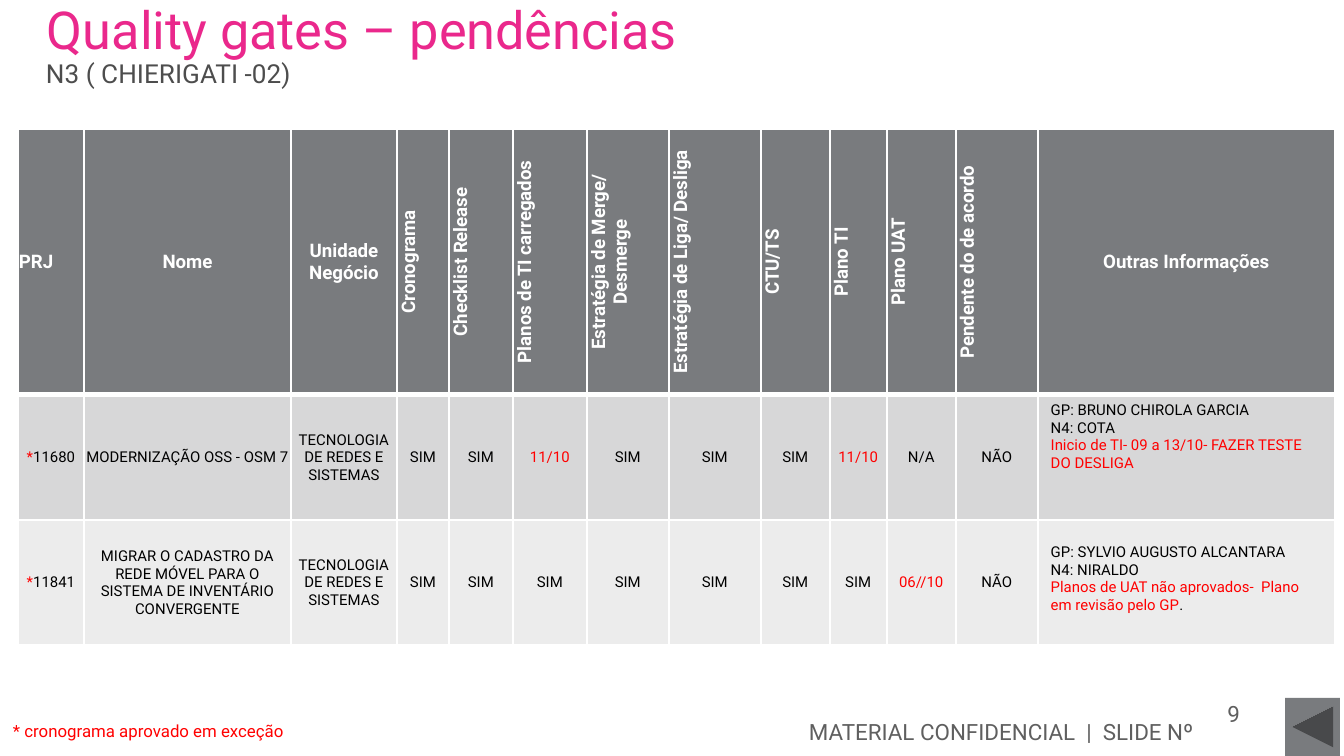
from lxml.etree import SubElement
from pptx import Presentation
from pptx.dml.color import RGBColor
from pptx.enum.shapes import MSO_SHAPE
from pptx.enum.text import MSO_ANCHOR, PP_ALIGN
from pptx.oxml.ns import qn
from pptx.util import Emu, Pt

SCALE = 914400 / 134.4
FONT = "Roboto"
PINK = RGBColor(0xEA, 0x28, 0x8C)
RED = RGBColor(0xFF, 0x00, 0x00)
BLACK = RGBColor(0x00, 0x00, 0x00)
WHITE = RGBColor(0xFF, 0xFF, 0xFF)
DARK_GREY = RGBColor(0x4D, 0x4D, 0x4D)
FOOTER_GREY = RGBColor(0x5F, 0x5F, 0x5F)
HEADER_GREY = RGBColor(0x79, 0x7B, 0x7E)
ROW_FILLS = [RGBColor(0xD7, 0xD7, 0xD8), RGBColor(0xEC, 0xEC, 0xEC)]

COLUMN_WIDTHS = [66, 207, 106, 52, 64, 74, 82, 92, 69, 57, 69, 82, 297]
ROW_HEIGHTS = [144, 125, 125]
HEADERS = [
    "PRJ", "Nome", "Unidade Negócio", "Cronograma", "Checklist Release",
    "Planos de TI carregados", "Estratégia de Merge/ Desmerge",
    "Estratégia de Liga/ Desliga", "CTU/TS", "Plano TI", "Plano UAT",
    "Pendente do de acordo", "Outras Informações",
]
VERTICAL_COLUMNS = range(3, 12)
UNIT = "TECNOLOGIA DE REDES E SISTEMAS"
# Each project: number, name, gate answers, notes (paragraphs of runs), top margin of notes
PROJECTS = [
    ("11680", "MODERNIZAÇÃO OSS - OSM 7",
     ["SIM", "SIM", "11/10", "SIM", "SIM", "SIM", "11/10", "N/A", "NÃO"],
     [[("GP: BRUNO CHIROLA GARCIA", BLACK)],
      [("N4: COTA", BLACK)],
      [("Inicio de TI- 09 a 13/10- FAZER TESTE DO DESLIGA", RED)]], 7),
    ("11841", "MIGRAR O CADASTRO DA REDE MÓVEL PARA O SISTEMA DE INVENTÁRIO CONVERGENTE",
     ["SIM", "SIM", "SIM", "SIM", "SIM", "SIM", "SIM", "06//10", "NÃO"],
     [[("GP: SYLVIO AUGUSTO ALCANTARA", BLACK)],
      [("N4: NIRALDO", BLACK)],
      [("Planos de UAT não aprovados-  Plano em revisão pelo GP", RED), (".", BLACK)]], 24),
]


def px(length):
    return Emu(round(length * SCALE))


def add_run(para, text, size, color, bold=False):
    span = para.add_run()
    span.text = text
    span.font.name = FONT
    span.font.size = Pt(size)
    span.font.bold = bold
    span.font.color.rgb = color


def add_text(page, box, text, size, color, align=PP_ALIGN.LEFT,
             anchor=MSO_ANCHOR.TOP, line_spacing=None, inset=(13, 7)):
    frame = page.shapes.add_textbox(*map(px, box)).text_frame
    frame.word_wrap = True
    frame.vertical_anchor = anchor
    frame.margin_left = frame.margin_right = px(inset[0])
    frame.margin_top = frame.margin_bottom = px(inset[1])
    para = frame.paragraphs[0]
    para.alignment = align
    if line_spacing:
        para.line_spacing = Pt(line_spacing)
    add_run(para, text, size, color)


def style_cell(cell, fill, top=1, bottom=1):
    """Give the cell its fill, narrow margins and white borders (points)."""
    cell.margin_left = cell.margin_right = cell.margin_top = px(1)
    cell.margin_bottom = 0
    cell.vertical_anchor = MSO_ANCHOR.MIDDLE
    properties = cell._tc.get_or_add_tcPr()
    for side, width in (("lnL", 1), ("lnR", 1), ("lnT", top), ("lnB", bottom)):
        line = SubElement(properties, qn(f"a:{side}"), w=str(Pt(width)))
        paint = SubElement(line, qn("a:solidFill"))
        SubElement(paint, qn("a:srgbClr"), val=str(WHITE))
    cell.fill.solid()
    cell.fill.fore_color.rgb = fill


def fill_cell(cell, paragraphs, size, align, bold=False):
    frame = cell.text_frame
    for index, runs in enumerate(paragraphs):
        para = frame.add_paragraph() if index else frame.paragraphs[0]
        para.alignment = align
        for text, color in runs:
            add_run(para, text, size, color, bold)


def add_heading(page, box):
    left, top, width, height = box
    add_text(page, (left, top, width, 70), "Quality gates – pendências", 28, PINK,
             line_spacing=24)
    add_text(page, (left + 12, top + 47, width - 13, 42), "N3 ( CHIERIGATI -02)", 14,
             DARK_GREY, line_spacing=18, inset=(0, 0))


def add_header_row(table):
    for column, label in enumerate(HEADERS):
        cell = table.cell(0, column)
        style_cell(cell, HEADER_GREY, bottom=3)
        if column in VERTICAL_COLUMNS:
            cell._tc.get_or_add_tcPr().set("vert", "vert270")
        align = PP_ALIGN.CENTER if column else PP_ALIGN.LEFT
        fill_cell(cell, [[(label, WHITE)]], 10, align, bold=True)


def add_project_row(table, row, project):
    number, name, answers, notes, notes_top = project
    contents = [[("*", RED), (number, BLACK)], [(name, BLACK)], [(UNIT, BLACK)]]
    contents += [[(answer, RED if "/10" in answer else BLACK)] for answer in answers]
    fill = ROW_FILLS[row - 1]
    top = 3 if row == 1 else 1
    for column, runs in enumerate(contents):
        cell = table.cell(row, column)
        style_cell(cell, fill, top)
        fill_cell(cell, [runs], 8, PP_ALIGN.CENTER)

    cell = table.cell(row, len(contents))
    style_cell(cell, fill, top)
    cell.vertical_anchor = MSO_ANCHOR.TOP
    cell.margin_left = cell.margin_right = px(13)
    cell.margin_top, cell.margin_bottom = px(notes_top), px(7)
    fill_cell(cell, notes, 8, PP_ALIGN.LEFT)


def add_gate_table(page, box):
    table = page.shapes.add_table(len(ROW_HEIGHTS), len(HEADERS), *map(px, box)).table
    table.first_row = table.horz_banding = False
    for column, width in zip(table.columns, COLUMN_WIDTHS):
        column.width = px(width)
    for row, height in zip(table.rows, ROW_HEIGHTS):
        row.height = px(height)
    add_header_row(table)
    for row, project in enumerate(PROJECTS, start=1):
        add_project_row(table, row, project)


def add_footer(page, box):
    left, top, width, height = box
    add_text(page, (left, top + 9, 316, 41), "* cronograma aprovado em exceção", 9, RED,
             line_spacing=18, inset=(0, 0))
    add_text(page, (left + 49, top + 18, 1145, 32), "MATERIAL CONFIDENCIAL  |  SLIDE Nº", 12,
             FOOTER_GREY, PP_ALIGN.RIGHT, MSO_ANCHOR.MIDDLE)
    add_text(page, (left + 1175, top, 65, 32), "9", 12,
             FOOTER_GREY, PP_ALIGN.RIGHT, MSO_ANCHOR.MIDDLE)
    button = page.shapes.add_shape(MSO_SHAPE.ACTION_BUTTON_BACK_OR_PREVIOUS,
                                   *map(px, (left + width - 55, top, 55, height)))
    button.shadow.inherit = False
    button.fill.solid()
    button.fill.fore_color.rgb = HEADER_GREY
    button.line.fill.background()


def main():
    deck = Presentation()
    deck.slide_width, deck.slide_height = px(1344), px(756)
    page = deck.slides.add_slide(deck.slide_layouts[6])
    add_heading(page, (34, 8, 1302, 89))
    add_gate_table(page, (18, 129, sum(COLUMN_WIDTHS), sum(ROW_HEIGHTS)))
    add_footer(page, (13, 698, 1327, 58))
    deck.save("out.pptx")


if __name__ == "__main__":
    main()
